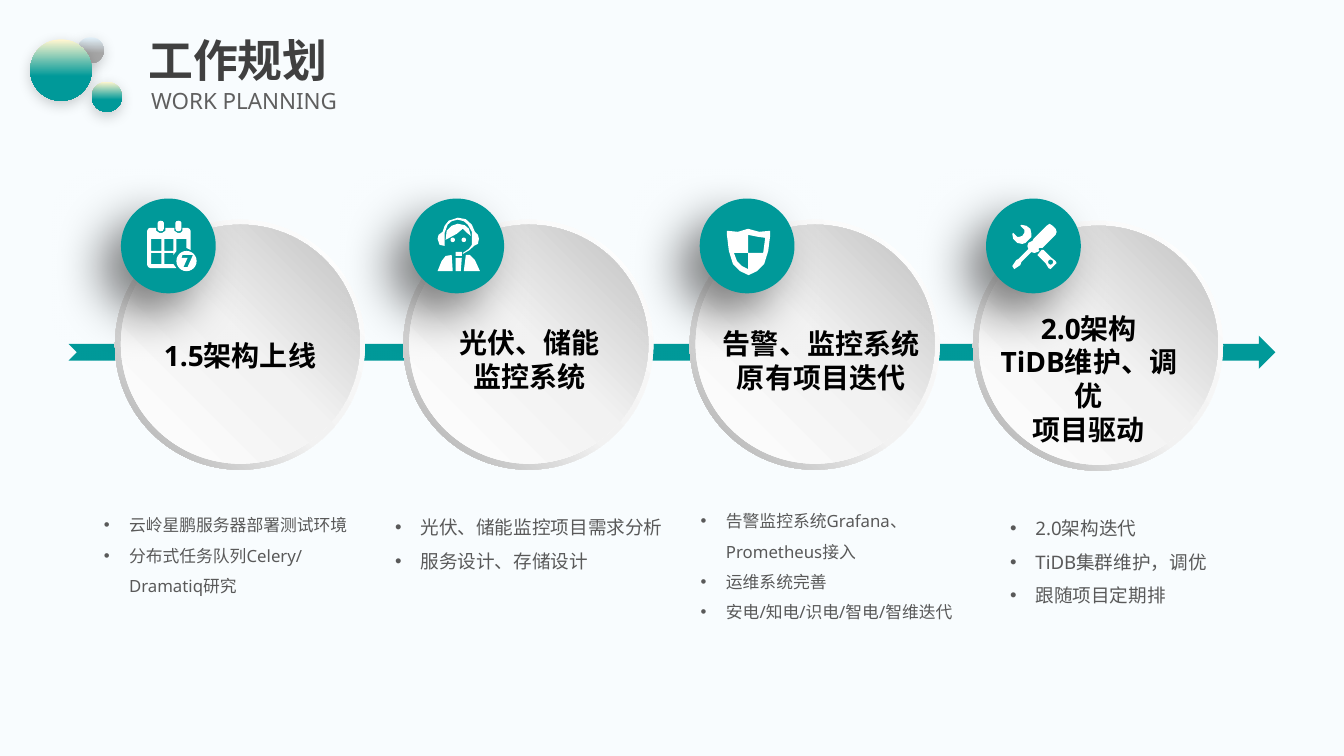
import math
from dataclasses import dataclass

from lxml import etree
from pptx import Presentation
from pptx import util as u
from pptx.dml.color import RGBColor
from pptx.enum import shapes, text
from pptx.oxml import ns

FONT = "Noto Sans"
TEAL = RGBColor(0x00, 0x99, 0x99)
CREAM = RGBColor(0xFF, 0xF6, 0xCF)
ICE = RGBColor(0xE1, 0xF0, 0xF9)
PAPER = RGBColor(0xF8, 0xFC, 0xFE)
WHITE = RGBColor(0xFF, 0xFF, 0xFF)
BLACK = RGBColor(0x00, 0x00, 0x00)
PALE = RGBColor(0xF2, 0xF2, 0xF2)
SILVER = RGBColor(0xBF, 0xBF, 0xBF)
GREY = RGBColor(0xA5, 0xA5, 0xA5)
STEEL = RGBColor(0xA6, 0xA6, 0xA6)
TITLE_INK = RGBColor(0x40, 0x40, 0x40)
SUBTITLE_INK = RGBColor(0x5F, 0x5F, 0x5F)
LIST_INK = RGBColor(0x59, 0x59, 0x59)

Point = tuple[float, float]
Contour = list[Point]
Box = tuple[float, float, float, float]


@dataclass(frozen=True)
class Gradient:
    stops: tuple[tuple[int, RGBColor], ...]
    angle: int


@dataclass(frozen=True)
class Shadow:
    alpha: int
    blur: int
    dist: int
    angle: int


@dataclass(frozen=True)
class Stage:
    disc: Point
    badge: Point
    label_box: Box
    label: list[str]
    list_box: Box
    size: float
    items: list[str]
    icon: list[Contour]


DOT_SHADOW = Shadow(20, 10, 3, 90)
BADGE_SHADOW = Shadow(50, 35, 20, 135)
TEAL_FADE = Gradient(((1, CREAM), (60, TEAL), (100, TEAL)), 90)
GREY_FADE = Gradient(((1, ICE), (60, GREY), (100, GREY)), 90)
RIM = Gradient(((0, WHITE), (55, PALE), (100, STEEL)), 135)
FACE = Gradient(((0, WHITE), (51, PALE), (100, SILVER)), 315)


def circle(cx: float, cy: float, r: float) -> Contour:
    return [(cx + r * math.cos(math.radians(a)), cy + r * math.sin(math.radians(a)))
            for a in range(0, 360, 15)]


def rect(x: float, y: float, w: float, h: float) -> Contour:
    return [(x, y), (x + w, y), (x + w, y + h), (x, y + h)]


def peg(x: float) -> Contour:
    return [(x, 24), (x + 1, 22.5), (x + 3, 22), (x + 5, 22.5), (x + 6, 24),
            (x + 6, 30), (x + 5, 32), (x + 3, 32.5), (x + 1, 32), (x, 30)]


CALENDAR = [
    [(26, 32), (27, 30), (29, 29), (35, 29), (35, 32), (38, 34), (41, 34), (44, 32), (44, 29),
     (53, 29), (53, 32), (56, 34), (59, 34), (61, 32), (61, 29), (66, 29), (68, 30), (69, 32),
     (69, 51), (65, 49), (65, 40), (55, 40), (55, 52), (52, 56), (52, 54), (43, 54), (43, 65),
     (52, 65), (55, 69), (29, 69), (27, 68), (26, 66)],
    peg(36.5), peg(54), rect(30, 40, 10, 12), rect(43, 40, 9, 12), rect(30, 54, 10, 11),
    circle(65, 62, 10),
    [(61, 56), (71, 56), (71, 57), (66, 68), (62, 68), (66, 59), (60, 59)],
]
AGENT = [
    [(48, 19), (39, 22), (35, 27), (33, 33), (29, 36), (28, 40), (30, 46), (35, 47), (35, 34),
     (38, 26), (42, 22.5), (48, 21), (54, 22.5), (58, 26), (62, 33), (62, 46), (59, 50),
     (53, 54), (53, 55), (60, 51), (64, 47), (68, 45), (69, 40), (68, 36), (65, 33),
     (62, 26), (56, 20.5)],
    [(48, 25), (42, 27), (37, 32), (36, 41), (47, 35), (53, 30), (57, 34), (61, 37),
     (59, 30), (55, 26.5)],
    circle(43, 41, 2.2), circle(54, 41, 2.2), rect(46, 53, 6, 4),
    [(56, 56), (60, 56), (65, 61), (70, 72), (54, 72)],
    [(42, 56), (36, 57), (32, 62), (28, 72), (43, 72)],
    [(46, 59), (52, 59), (51, 72), (46, 72)],
]
SHIELD = [
    [(27, 32), (38, 33), (48, 30), (59, 33), (70, 32), (70, 36), (68, 52), (64, 65), (57, 72),
     (48.5, 76), (40, 72), (33, 65), (29, 52), (27, 36)],
    [(48, 54), (63, 54), (65, 39), (58, 38), (48, 36)],
    [(48, 70), (48, 54), (34, 54), (37, 62), (42, 67)],
]
TOOLS = [
    [(55, 51), (51, 56), (59, 64), (62, 69), (64, 70), (70, 64), (69, 62), (64, 58), (57, 51)],
    circle(64, 63, 2.5),
    [(42, 41), (45, 38), (45, 35), (44, 30), (40, 27), (35, 26), (34, 27), (38, 31), (38, 34),
     (36, 37), (33, 38), (31, 38), (27, 34), (26, 35), (27, 40), (31, 44), (36, 45), (39, 44)],
    [(69, 30), (66, 27), (63, 25), (60, 27), (47, 40), (46, 42), (44, 43), (42, 44), (41, 47),
     (42, 50), (32, 60), (30, 61), (26, 67), (28, 70), (34, 66), (35, 63), (45, 53), (48, 54),
     (51, 53), (53, 52), (52, 50), (53, 49), (56, 49), (69, 36), (70, 33)],
]

STAGES = [
    Stage((1.14, 2.18), (1.2, 1.97), (1.49, 3.31, 1.78, 0.44), ["1.5架构上线"],
          (1.03, 5.01, 2.66, 0.87), 12,
          ["云岭星鹏服务器部署测试环境", "分布式任务队列Celery/Dramatiq研究"], CALENDAR),
    Stage((4, 2.18), (4.06, 1.97), (4.45, 3.18, 1.6, 0.77), ["光伏、储能", "监控系统"],
          (3.92, 5.01, 2.8, 0.63), 13.3,
          ["光伏、储能监控项目需求分析", "服务设计、存储设计"], AGENT),
    Stage((6.84, 2.18), (6.94, 1.97), (7.06, 3.19, 2.17, 0.77), ["告警、监控系统", "原有项目迭代"],
          (6.95, 4.97, 2.8, 1.18), 12,
          ["告警监控系统Grafana、Prometheus接入", "运维系统完善", "安电/知电/识电/智电/智维迭代"], SHIELD),
    Stage((9.65, 2.19), (9.78, 1.97), (9.87, 3.04, 1.86, 1.44),
          ["2.0架构", "TiDB维护、调优", "项目驱动"],
          (10.02, 5.02, 2.06, 0.97), 13.3,
          ["2.0架构迭代", "TiDB集群维护，调优", "跟随项目定期排"], TOOLS),
]


def paint(sp, fill: RGBColor | Gradient, shadow: Shadow | None = None) -> None:
    sp.line.fill.background()
    sp.shadow.inherit = False
    if isinstance(fill, Gradient):
        sp.fill.gradient()
        sp.fill.gradient_angle = (360 - fill.angle) % 360
        stops = sp._element.spPr.find(".//" + ns.qn("a:gsLst"))
        for gs in list(stops):
            stops.remove(gs)
        for pos, color in fill.stops:
            gs = etree.SubElement(stops, ns.qn("a:gs"), pos=str(pos * 1000))
            etree.SubElement(gs, ns.qn("a:srgbClr"), val=str(color))
    else:
        sp.fill.solid()
        sp.fill.fore_color.rgb = fill
    if shadow:
        effects = sp._element.spPr.find(ns.qn("a:effectLst"))
        outer = etree.SubElement(effects, ns.qn("a:outerShdw"), blurRad=str(u.Pt(shadow.blur)),
                                 dist=str(u.Pt(shadow.dist)), dir=str(shadow.angle * 60000),
                                 algn="ctr", rotWithShape="0")
        color = etree.SubElement(outer, ns.qn("a:srgbClr"), val=str(BLACK))
        etree.SubElement(color, ns.qn("a:alpha"), val=str(shadow.alpha * 1000))


def add_preset(s, kind, box: Box, fill: RGBColor | Gradient, shadow: Shadow | None = None):
    sp = s.shapes.add_shape(kind, *map(u.Inches, box))
    paint(sp, fill, shadow)
    return sp


def write(sp, lines: list[str], size: float, color: RGBColor, bold: bool = False,
          align=text.PP_ALIGN.LEFT, spacing: float = 1.0, bullets: bool = False) -> None:
    tf = sp.text_frame
    tf.word_wrap = True
    tf.auto_size = text.MSO_AUTO_SIZE.NONE
    for i, line in enumerate(lines):
        p = tf.paragraphs[0] if i == 0 else tf.add_paragraph()
        p.alignment = align
        p.line_spacing = spacing
        p.space_before = u.Pt(0)
        if bullets:
            pPr = p._p.get_or_add_pPr()
            pPr.set("marL", str(u.Inches(0.25)))
            pPr.set("indent", str(-u.Inches(0.25)))
            etree.SubElement(pPr, ns.qn("a:buFont"), typeface="Arial")
            etree.SubElement(pPr, ns.qn("a:buChar"), char="•")
        r = p.add_run()
        r.text = line
        r.font.size = u.Pt(size)
        r.font.bold = bold
        r.font.color.rgb = color
        r.font.name = FONT
        etree.SubElement(r._r.get_or_add_rPr(), ns.qn("a:ea"), typeface=FONT)


def add_text(s, box: Box, side_inset: float = 0, top_inset: float = 0):
    sp = s.shapes.add_textbox(*map(u.Inches, box))
    tf = sp.text_frame
    tf.margin_left = tf.margin_right = u.Inches(side_inset)
    tf.margin_top = tf.margin_bottom = u.Inches(top_inset)
    return sp


def add_icon(s, origin: Point, contours: list[Contour]) -> None:
    scaled = [[(round(x * 10), round(y * 10)) for x, y in c] for c in contours]
    fb = s.shapes.build_freeform(*scaled[0][0], scale=u.Inches(1) / 1000)
    for i, contour in enumerate(scaled):
        if i:
            fb.move_to(*contour[0])
        fb.add_line_segments(contour[1:], close=True)
    paint(fb.convert_to_shape(*map(u.Inches, origin)), WHITE)


def fill_placeholder(sp, box: Box, line: str, size: float, color: RGBColor, bold: bool) -> None:
    sp.left, sp.top, sp.width, sp.height = map(u.Inches, box)
    sp.text_frame.vertical_anchor = text.MSO_ANCHOR.MIDDLE
    write(sp, [line], size, color, bold, spacing=0.9)


def main() -> None:
    prs = Presentation()
    prs.slide_width, prs.slide_height = u.Inches(13.33), u.Inches(7.5)
    s = prs.slides.add_slide(prs.slide_layouts.get_by_name("Section Header"))
    s.background.fill.solid()
    s.background.fill.fore_color.rgb = PAPER
    shape = shapes.MSO_SHAPE

    for x, y, d, fade in [(0.77, 0.37, 0.26, GREY_FADE), (0.91, 0.81, 0.3, TEAL_FADE),
                          (0.3, 0.39, 0.61, TEAL_FADE)]:
        add_preset(s, shape.OVAL, (x, y, d, d), fade, DOT_SHADOW)
    fill_placeholder(s.shapes.title, (1.37, 0.33, 11.5, 0.59), "工作规划", 32, TITLE_INK, True)
    fill_placeholder(s.placeholders[1], (1.4, 0.84, 9.17, 0.34), "WORK PLANNING", 16,
                     SUBTITLE_INK, False)

    add_preset(s, shape.NOTCHED_RIGHT_ARROW, (0.68, 3.33, 11.97, 0.33), TEAL)
    for stage in STAGES:
        x, y = stage.disc
        rim = add_preset(s, shape.DONUT, (x, y, 2.48, 2.48), RIM)
        rim.adjustments[0] = 0.05
        add_preset(s, shape.OVAL, (x + 0.06, y + 0.05, 2.37, 2.37), FACE)
        write(add_text(s, stage.label_box, top_inset=0.05), stage.label, 20, BLACK, True,
              text.PP_ALIGN.CENTER)
        add_preset(s, shape.OVAL, (*stage.badge, 0.94, 0.94), TEAL, BADGE_SHADOW)
        add_icon(s, stage.badge, stage.icon)
        write(add_text(s, stage.list_box), stage.items, stage.size, LIST_INK, spacing=1.5,
              bullets=True)
    prs.save("out.pptx")


if __name__ == "__main__":
    main()
